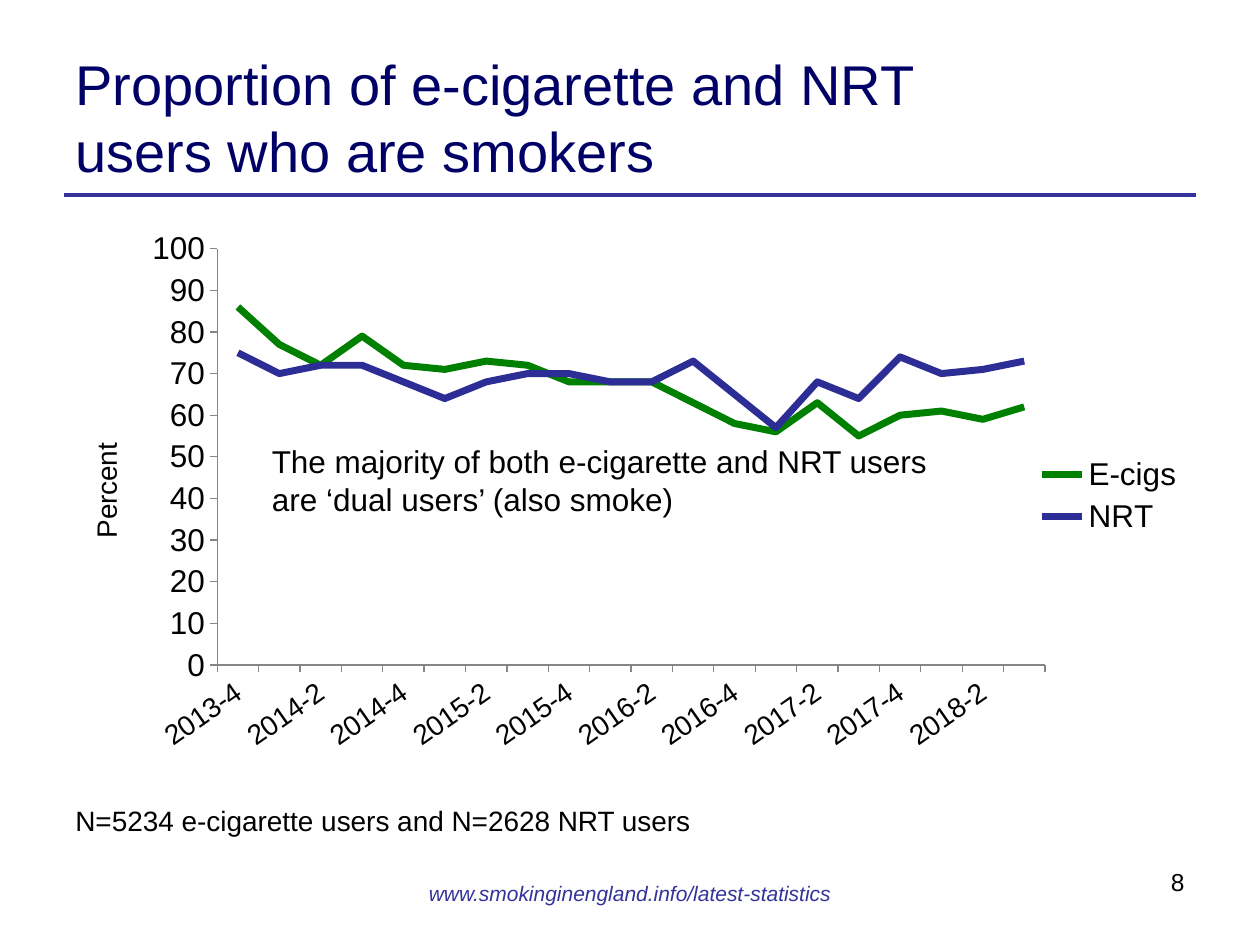
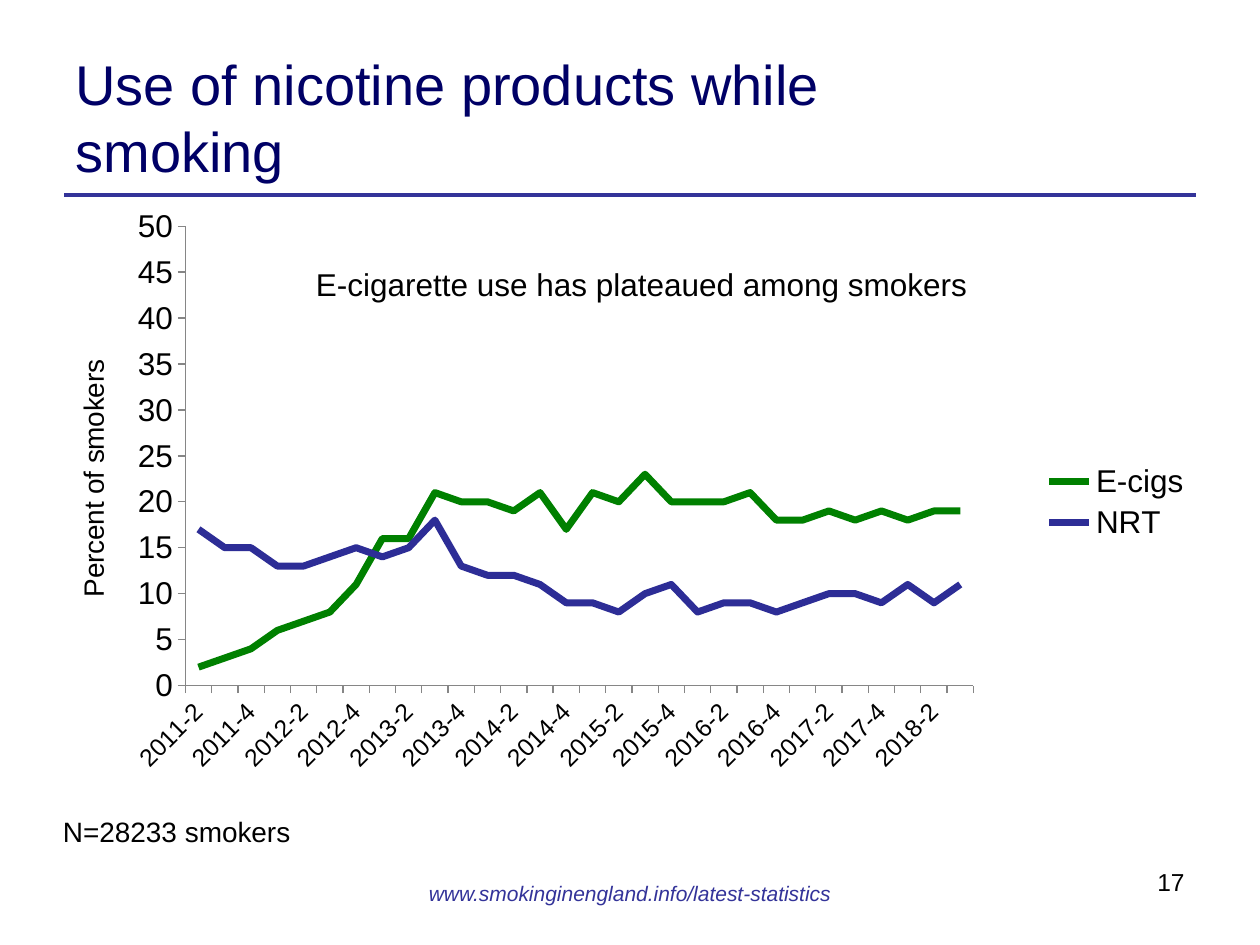
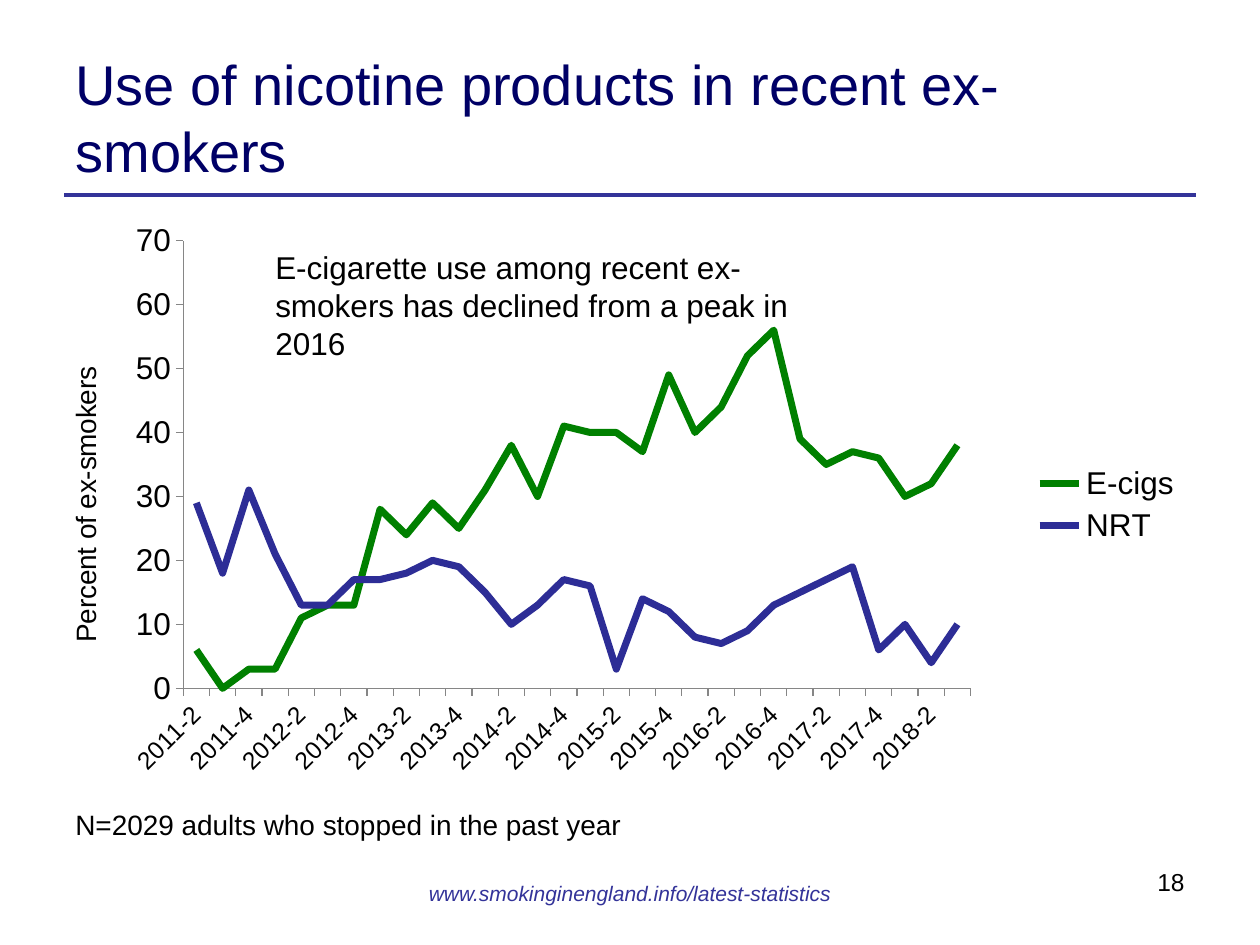
from lxml import etree
from pptx import Presentation
from pptx.chart.data import CategoryChartData
from pptx.dml.color import RGBColor
from pptx.enum.chart import XL_CHART_TYPE, XL_LEGEND_POSITION, XL_TICK_MARK
from pptx.enum.shapes import MSO_CONNECTOR
from pptx.enum.text import MSO_ANCHOR, PP_ALIGN
from pptx.oxml import parse_xml
from pptx.oxml.ns import nsdecls, qn
from pptx.util import Cm, Pt

LINE_CHART = XL_CHART_TYPE.LINE
STRAIGHT = MSO_CONNECTOR.STRAIGHT
LEGEND_RIGHT = XL_LEGEND_POSITION.RIGHT
TICK_OUT, TICK_NONE = XL_TICK_MARK.OUTSIDE, XL_TICK_MARK.NONE
TOP, MIDDLE = MSO_ANCHOR.TOP, MSO_ANCHOR.MIDDLE
LEFT, CENTER, RIGHT = PP_ALIGN.LEFT, PP_ALIGN.CENTER, PP_ALIGN.RIGHT

FONT = "Arial"
BLACK, NAVY, BLUE, GREEN, GREY = "000000", "000066", "333399", "008000", "868686"
NRT_BLUE = "2D2D96"
SERIES = [("E-cigs", GREEN), ("NRT", NRT_BLUE)]
WEBSITE = "www.smokinginengland.info/latest-statistics"

# Boxes are (left, top, width, height) in cm.
# Plot areas and axis title places are percentages of the chart.
SLIDES = [
    dict(
        title="Proportion of e-cigarette and NRT users who are smokers",
        number=8,
        chart=dict(
            box=(1.27, 4.45, 22.86, 11.07), plot=(13.6, 5.1, 73, 75.8),
            start=(2013, 4), top=100, step=10, label_size=16, label_angle=-35,
            axis_title="Percent", title_at=(1.8, 39.6),
            values=[
                [86, 77, 72, 79, 72, 71, 73, 72, 68, 68,
                 68, 63, 58, 56, 63, 55, 60, 61, 59, 62],
                [75, 70, 72, 72, 68, 64, 68, 70, 70, 68,
                 68, 73, 65, 57, 68, 64, 74, 70, 71, 73],
            ]),
        note=("N=5234 e-cigarette users and N=2628 NRT users",
              (1.27, 16.08, 20.98, 0.94)),
        message=("The majority of both e-cigarette and NRT users are "
                 "‘dual users’ (also smoke)", (5.23, 8.79, 14.63, 1.8)),
    ),
    dict(
        title="Use of nicotine products while smoking",
        number=17,
        chart=dict(
            box=(1.12, 4.01, 23.16, 12.22), plot=(11.3, 4.5, 68.6, 75.8),
            start=(2011, 2), top=50, step=5, label_size=14, label_angle=-45,
            axis_title="Percent of smokers", title_at=(1.3, 25.7),
            values=[
                [2, 3, 4, 6, 7, 8, 11, 16, 16, 21, 20, 20, 19, 21, 17,
                 21, 20, 23, 20, 20, 20, 21, 18, 18, 19, 18, 19, 18, 19, 19],
                [17, 15, 15, 13, 13, 14, 15, 14, 15, 18, 13, 12, 12, 11, 9,
                 9, 8, 10, 11, 8, 9, 9, 8, 9, 10, 10, 9, 11, 9, 11],
            ]),
        note=("N=28233 smokers", (1.02, 16.3, 5.16, 0.94)),
        message=("E-cigarette use has plateaued among smokers",
                 (6.12, 5.21, 15.49, 1.02)),
    ),
    dict(
        title="Use of nicotine products in recent ex-smokers",
        number=18,
        chart=dict(
            box=(0.94, 4.22, 23.14, 11.91), plot=(11.9, 5.3, 68.6, 75.8),
            start=(2011, 2), top=70, step=10, label_size=14, label_angle=-45,
            axis_title="Percent of ex-smokers", title_at=(1.4, 25.8),
            values=[
                [6, 0, 3, 3, 11, 13, 13, 28, 24, 29, 25, 31, 38, 30, 41,
                 40, 40, 37, 49, 40, 44, 52, 56, 39, 35, 37, 36, 30, 32, 38],
                [29, 18, 31, 21, 13, 13, 17, 17, 18, 20, 19, 15, 10, 13, 17,
                 16, 3, 14, 12, 8, 7, 9, 13, 15, 17, 19, 6, 10, 4, 10],
            ]),
        note=("N=2029 adults who stopped in the past year",
              (1.27, 16.15, 20.98, 0.94)),
        message=("E-cigarette use among recent ex-smokers has declined "
                 "from a peak in 2016", (5.3, 4.88, 11.35, 2.57)),
    ),
]


def rgb(color):
    return RGBColor.from_string(color)


def set_font(font, size, color=BLACK):
    font.name, font.size, font.bold = FONT, Pt(size), False
    font.color.rgb = rgb(color)


def add_text(s, text, box, size, color=BLACK, align=LEFT, anchor=TOP, wrap=True):
    """Add a one-paragraph text box and return its paragraph."""
    tf = s.shapes.add_textbox(*map(Cm, box)).text_frame
    tf.word_wrap, tf.vertical_anchor = wrap, anchor
    p = tf.paragraphs[0]
    p.text, p.alignment = text, align
    set_font(p.font, size, color)
    return p


def add_frame(s, title, number):
    """Add the rule, website, title and page number every slide carries."""
    rule = s.shapes.add_connector(STRAIGHT, Cm(1.3), Cm(3.93), Cm(24.1), Cm(3.93))
    rule.line.color.rgb = rgb(BLUE)
    rule.line.width = Pt(2.25)
    etree.SubElement(rule._element.spPr, qn("a:effectLst"))
    p = add_text(s, WEBSITE, (8.36, 17.73, 8.69, 0.66), 12, BLUE, CENTER, wrap=False)
    p.font.italic = True
    p.line_spacing = 0.8
    add_text(s, title, (1.27, 0.76, 19.9, 3.18), 32, NAVY, anchor=MIDDLE)
    add_text(s, str(number), (17.09, 17.35, 7.04, 1.32), 14, align=RIGHT)


def quarters(start, count):
    """List consecutive quarters such as 2013-4, 2014-1."""
    year, quarter = start
    first = year * 4 + quarter - 1
    return [f"{n // 4}-{n % 4 + 1}" for n in range(first, first + count)]


def manual_layout(x, y, w=None, h=None):
    """Build a chart layout from percentages; a size places the inner plot area."""
    parts = [("layoutTarget", "inner")] if w else []
    parts += [("xMode", "edge"), ("yMode", "edge"), ("x", x / 100), ("y", y / 100)]
    if w:
        parts += [("w", w / 100), ("h", h / 100)]
    body = "".join(f'<c:{tag} val="{val}"/>' for tag, val in parts)
    return parse_xml(f'<c:layout {nsdecls("c")}><c:manualLayout>{body}'
                     '</c:manualLayout></c:layout>')


def replace_layout(parent, layout, index):
    for old in parent.findall(qn("c:layout")):
        parent.remove(old)
    parent.insert(index, layout)


def style_axis(axis, size):
    axis.has_major_gridlines = False
    axis.major_tick_mark, axis.minor_tick_mark = TICK_OUT, TICK_NONE
    axis.format.line.color.rgb = rgb(GREY)
    axis.format.line.width = Pt(0.75)
    set_font(axis.tick_labels.font, size)


def add_trend_chart(s, box, plot, start, top, step, label_size, label_angle,
                    axis_title, title_at, values):
    data = CategoryChartData()
    data.categories = quarters(start, len(values[0]))
    for (name, _), vals in zip(SERIES, values):
        data.add_series(name, vals)
    chart = s.shapes.add_chart(LINE_CHART, *map(Cm, box), data).chart
    set_font(chart.font, 18)
    chart.has_title = False
    chart.has_legend = True
    chart.legend.position = LEGEND_RIGHT
    chart.legend.include_in_layout = False
    set_font(chart.legend.font, 18)
    replace_layout(chart._chartSpace.chart.plotArea, manual_layout(*plot), 0)
    chart.plots[0].vary_by_categories = False
    for series, (_, color) in zip(chart.plots[0].series, SERIES):
        series.smooth = False
        series.format.line.color.rgb = rgb(color)
        series.format.line.width = Pt(4)

    periods, percent = chart.category_axis, chart.value_axis
    style_axis(periods, label_size)
    body = periods._element.find(qn("c:txPr")).find(qn("a:bodyPr"))
    body.set("rot", str(label_angle * 60000))
    style_axis(percent, 18)
    percent.minimum_scale, percent.maximum_scale = 0, top
    percent.major_unit = step
    percent.has_title = True
    tf = percent.axis_title.text_frame
    tf.text = axis_title
    set_font(tf.paragraphs[0].font, 16)
    tf._txBody.find(qn("a:bodyPr")).set("rot", str(-90 * 60000))
    replace_layout(percent.axis_title._element, manual_layout(*title_at), 1)


def main():
    prs = Presentation()
    prs.slide_width, prs.slide_height = Cm(25.4), Cm(19.05)
    for content in SLIDES:
        s = prs.slides.add_slide(prs.slide_layouts[6])
        add_frame(s, content["title"], content["number"])
        add_trend_chart(s, **content["chart"])
        add_text(s, *content["note"], 16)
        add_text(s, *content["message"], 18)
    prs.save("out.pptx")


if __name__ == "__main__":
    main()
